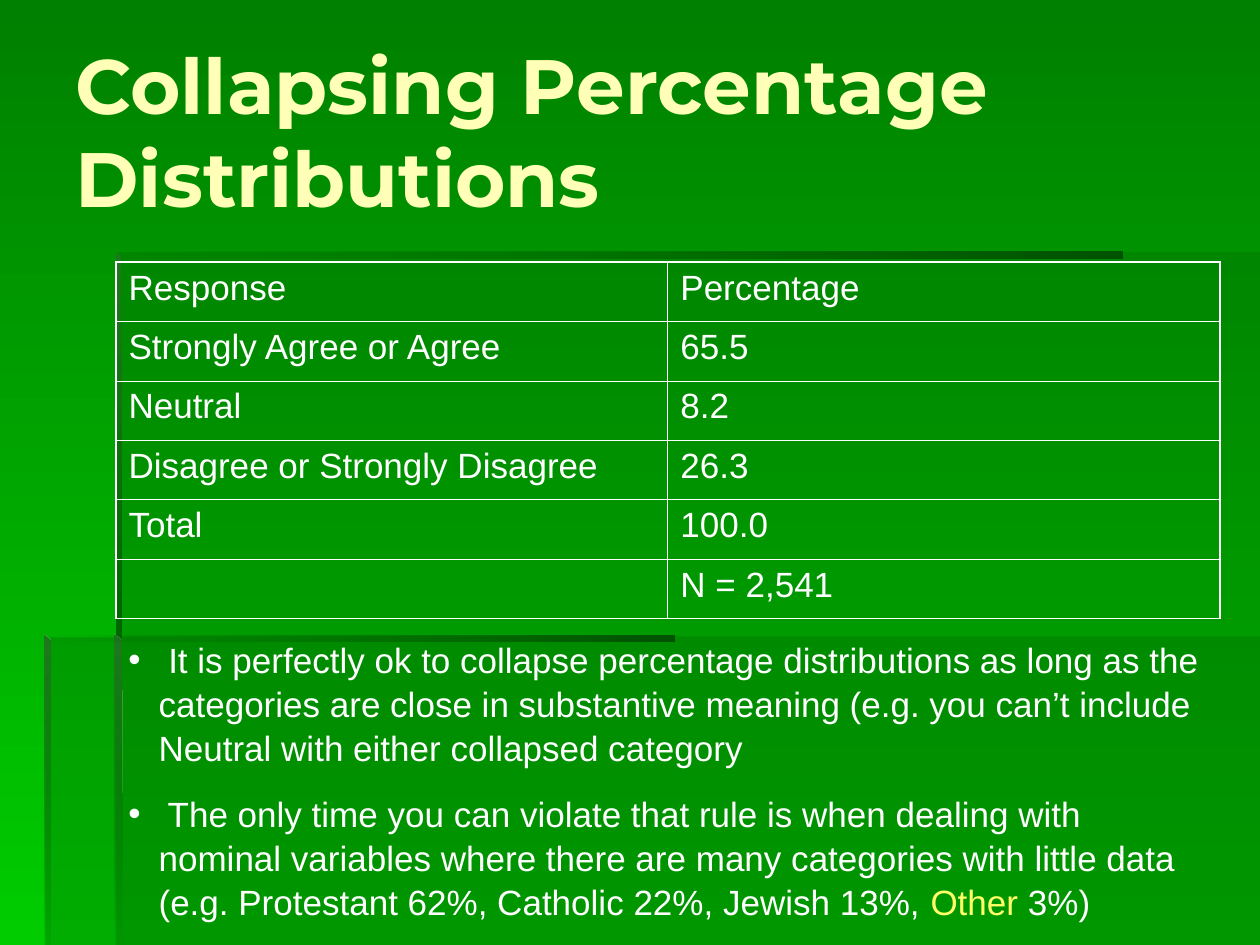
from dataclasses import dataclass

from lxml import etree
from pptx import Presentation
from pptx import util as u
from pptx.dml.color import RGBColor
from pptx.enum import text
from pptx.oxml import ns

SCALE = 9144
COLORS = {
    "bg_top": "008000",
    "bg_bottom": "00CC00",
    "panel": "006600",
    "shade": "005300",
    "edge": "1E781E",
    "title": "FFFFB7",
    "body": "FFFFFF",
    "accent": "FFFF66",
}


@dataclass(frozen=True)
class Stop:
    color: str
    opacity: int = 100


@dataclass(frozen=True)
class Panel:
    points: tuple[tuple[int, int], ...]
    stops: tuple[Stop, ...]
    angle: int = 0


@dataclass(frozen=True)
class Span:
    words: str
    color: str = "body"


FLAT = (Stop("panel", 30),)
BAR = (Stop("shade"), Stop("panel", 0))
PANELS = (
    Panel(((92, 505), (92, 750), (1000, 750), (1000, 505)), FLAT),
    Panel(((94, 506), (36, 506), (36, 750), (1000, 750), (1000, 200), (94, 200)), FLAT),
    Panel(((92, 200), (92, 205), (891, 205), (891, 200)), BAR, 180),
    Panel(((92, 200), (92, 510), (97, 510), (96, 204)), (Stop("edge"), Stop("panel")), 90),
    Panel(((91, 750), (97, 750), (96, 508), (91, 504)), (Stop("edge"), Stop("panel", 0)), 90),
    Panel(((35, 504), (35, 509), (535, 509), (535, 504)), BAR, 180),
    Panel(((35, 504), (35, 750), (40, 750), (40, 509)), (Stop("edge"), Stop("panel", 10)), 90),
)
ROWS = (
    ("Response", "Percentage"),
    ("Strongly Agree or Agree", "65.5"),
    ("Neutral", "8.2"),
    ("Disagree or Strongly Disagree", "26.3"),
    ("Total", "100.0"),
    ("", "N = 2,541"),
)
NOTES = (
    (
        Span(
            " It is perfectly ok to collapse percentage distributions as long as the "
            "categories are close in substantive meaning (e.g. you can’t include "
            "Neutral with either collapsed category"
        ),
    ),
    (
        Span(
            " The only time you can violate that rule is when dealing with nominal "
            "variables where there are many categories with little data "
            "(e.g. Protestant 62%, Catholic 22%, Jewish 13%, "
        ),
        Span("Other", "accent"),
        Span(" 3%)"),
    ),
)


def px(length: int) -> u.Emu:
    return u.Emu(length * SCALE)


def add(parent, tag: str, **attributes):
    values = {name: str(value) for name, value in attributes.items()}
    return etree.SubElement(parent, ns.qn(tag), values)


def add_color(parent, stop: Stop) -> None:
    color = add(parent, "a:srgbClr", val=COLORS[stop.color])
    if stop.opacity < 100:
        add(color, "a:alpha", val=stop.opacity * 1000)


def paint(fill, holder, stops: tuple[Stop, ...], angle: int) -> None:
    fill.solid()
    solid = holder.find(".//" + ns.qn("a:solidFill"))
    if len(stops) == 1:
        add_color(solid, stops[0])
        return
    gradient = etree.Element(ns.qn("a:gradFill"), rotWithShape="1")
    stop_list = add(gradient, "a:gsLst")
    for index, stop in enumerate(stops):
        position = 100000 * index // (len(stops) - 1)
        add_color(add(stop_list, "a:gs", pos=position), stop)
    add(gradient, "a:lin", ang=angle * 60000, scaled=0)
    solid.getparent().replace(solid, gradient)


def draw_panel(page, panel: Panel) -> None:
    builder = page.shapes.build_freeform(*panel.points[0], scale=SCALE)
    builder.add_line_segments(panel.points[1:], close=True)
    shape = builder.convert_to_shape()
    shape.shadow.inherit = False
    shape.line.fill.background()
    paint(shape.fill, shape._element.spPr, panel.stops, panel.angle)


def style(span, size: int, color: str, name: str = "Arial", bold: bool = False) -> None:
    span.font.size = u.Pt(size)
    span.font.name = name
    span.font.bold = bold
    span.font.color.rgb = RGBColor.from_string(COLORS[color])


def add_box(page, left: int, top: int, width: int, height: int):
    box = page.shapes.add_textbox(px(left), px(top), px(width), px(height))
    box.text_frame.word_wrap = True
    return box.text_frame


def draw_title(page) -> None:
    frame = add_box(page, 50, 25, 917, 157)
    frame.vertical_anchor = text.MSO_ANCHOR.MIDDLE
    frame.text = "Collapsing Percentage Distributions"
    style(frame.paragraphs[0].runs[0], 44, "title", "Montserrat", True)


def add_borders(cell, outer: dict[str, bool]) -> None:
    properties = cell._tc.get_or_add_tcPr()
    for index, (side, is_outer) in enumerate(outer.items()):
        width = u.Pt(1.08 if is_outer else 0.45)
        line = etree.Element(ns.qn(f"a:{side}"), w=str(int(width)))
        add_color(add(line, "a:solidFill"), Stop("body"))
        properties.insert(index, line)


def draw_table(page) -> None:
    columns = len(ROWS[0])
    frame = page.shapes.add_table(len(ROWS), columns, px(92), px(208), px(876), px(283))
    table = frame.table
    table.first_row = table.horz_banding = False
    for row, words in enumerate(ROWS):
        for column, value in enumerate(words):
            cell = table.cell(row, column)
            cell.fill.background()
            cell.text = value
            for span in cell.text_frame.paragraphs[0].runs:
                style(span, 20, "body")
            add_borders(cell, {
                "lnL": column == 0,
                "lnR": column == columns - 1,
                "lnT": row == 0,
                "lnB": row == len(ROWS) - 1,
            })


def draw_notes(page) -> None:
    frame = add_box(page, 92, 500, 875, 228)
    for index, spans in enumerate(NOTES):
        para = frame.add_paragraph() if index else frame.paragraphs[0]
        properties = para._p.get_or_add_pPr()
        properties.set("marL", str(px(24)))
        properties.set("indent", str(-px(24)))
        add_color(add(properties, "a:buClr"), Stop("body"))
        add(properties, "a:buFont", typeface="Arial")
        add(properties, "a:buChar", char="•")
        para.line_spacing = 1.05
        if index:
            para.space_before = u.Pt(12.5)
        for part in spans:
            span = para.add_run()
            span.text = part.words
            style(span, 20, part.color)


def main() -> None:
    deck = Presentation()
    deck.slide_width, deck.slide_height = px(1000), px(750)
    page = deck.slides.add_slide(deck.slide_layouts[6])
    paint(page.background.fill, page._element, (Stop("bg_top"), Stop("bg_bottom")), 90)
    for panel in PANELS:
        draw_panel(page, panel)
    draw_title(page)
    draw_table(page)
    draw_notes(page)
    deck.save("out.pptx")


if __name__ == "__main__":
    main()
